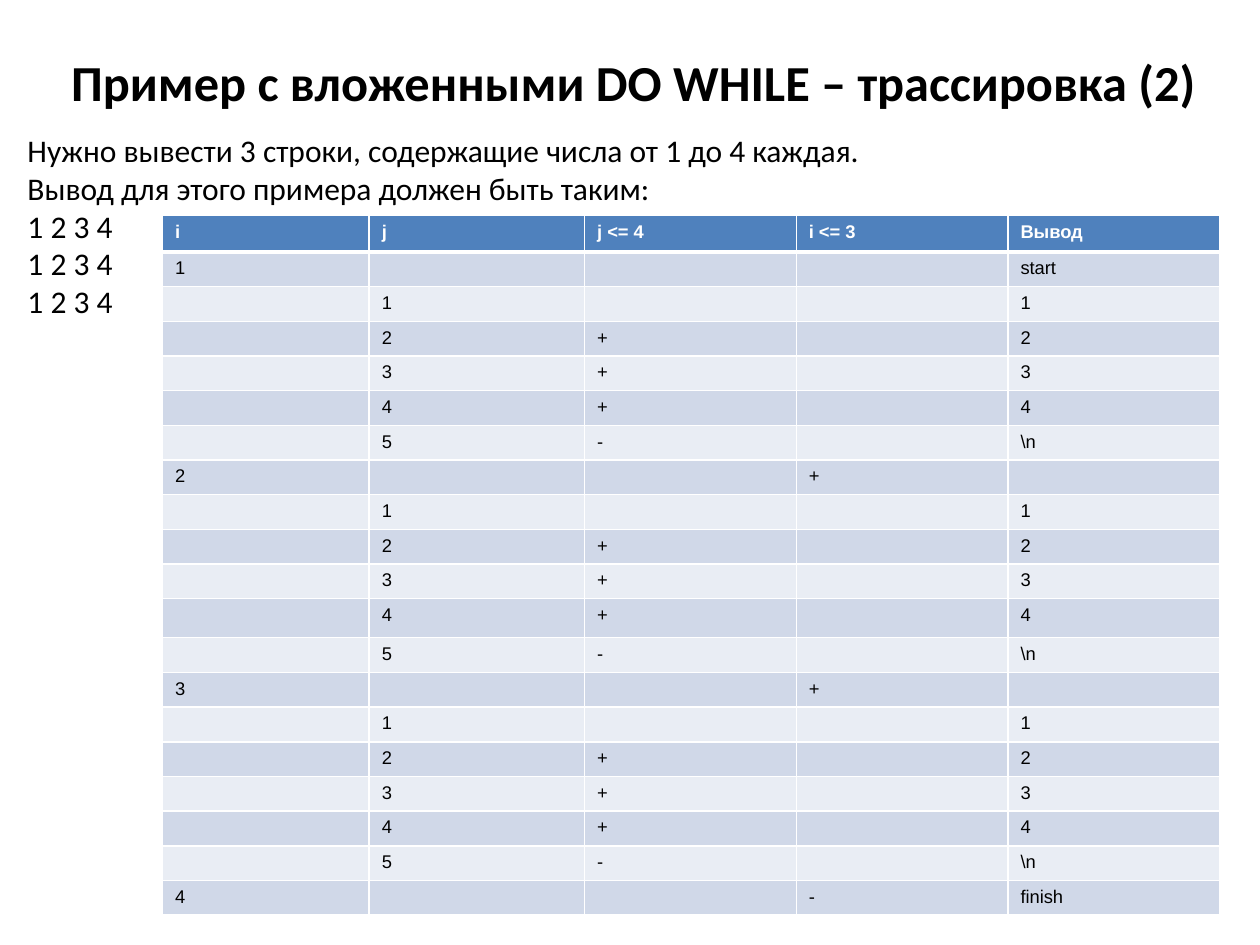
from lxml.etree import SubElement
from pptx import Presentation
from pptx.dml.color import RGBColor as RGB
from pptx.enum.text import MSO_ANCHOR as Anchor, PP_ALIGN as Align
from pptx.oxml.ns import qn
from pptx.util import Inches, Pt


def style(paragraph, size, face, color="000000", bold=False):
    font = paragraph.font
    font.size, font.name, font.bold = Pt(size), face, bold
    font.color.rgb = RGB.from_string(color)


def add_border(cell, side, points):
    """Draw a white line on one side (L, R, T or B); call before filling the cell."""
    line = SubElement(cell._tc.get_or_add_tcPr(), qn(f"a:ln{side}"), w=str(Pt(points)))
    SubElement(SubElement(line, qn("a:solidFill")), qn("a:srgbClr"), val="FFFFFF")


presentation = Presentation()
presentation.slide_width, presentation.slide_height = Inches(10), Inches(7.5)
slide = presentation.slides.add_slide(presentation.slide_layouts[6])

title = slide.shapes.add_textbox(Inches(0.29), Inches(0.3), Inches(9.48), Inches(0.69)).text_frame
title.word_wrap = True
title.vertical_anchor = Anchor.MIDDLE
title.text = "Пример с вложенными DO WHILE – трассировка (2)"
title.paragraphs[0].alignment = Align.CENTER
style(title.paragraphs[0], 28.8, "Calibri", bold=True)

task = slide.shapes.add_textbox(Inches(0.12), Inches(0.99), Inches(9.76), Inches(1.61)).text_frame
task.word_wrap = True
task.text = "\n".join([
    "Нужно вывести 3 строки, содержащие числа от 1 до 4 каждая.",
    "Вывод для этого примера должен быть таким:",
] + ["1 2 3 4"] * 3)
for paragraph in task.paragraphs:
    style(paragraph, 18, "Calibri")

# Each pass of the outer loop repeats the same inner trace
inner_loop = [
    ("", "1", "", "", "1"),
    ("", "2", "+", "", "2"),
    ("", "3", "+", "", "3"),
    ("", "4", "+", "", "4"),
    ("", "5", "-", "", "\\n"),
]
trace = [("i", "j", "j <= 4", "i <= 3", "Вывод")]
for i, check, output in [("1", "", "start"), ("2", "+", ""), ("3", "+", "")]:
    trace += [(i, "", "", check, output)] + inner_loop
trace.append(("4", "", "", "-", "finish"))

column_widths = [1.64, 1.71, 1.68, 1.68, 1.68]
table_height, header_height, tall_height, tall_row = 5.55, 0.29, 0.31, 11
row_height = (table_height - header_height - tall_height) / (len(trace) - 2)

table = slide.shapes.add_table(
    len(trace), len(column_widths), Inches(1.29), Inches(1.71),
    Inches(sum(column_widths)), Inches(table_height)).table
for column, width in zip(table.columns, column_widths):
    column.width = Inches(width)
for row in table.rows:
    row.height = Inches(row_height)
table.rows[0].height = Inches(header_height)
table.rows[tall_row].height = Inches(tall_height)

for r, step in enumerate(trace):
    header = r == 0
    fill = "4F81BD" if header else ("E9EDF4", "D0D8E8")[r % 2]
    for c, value in enumerate(step):
        cell = table.cell(r, c)
        for side in "LRTB":
            thick = (header and side == "B") or (r == 1 and side == "T")
            add_border(cell, side, 3 if thick else 1)
        cell.fill.solid()
        cell.fill.fore_color.rgb = RGB.from_string(fill)
        cell.text = value
        paragraph = cell.text_frame.paragraphs[0]
        style(paragraph, 10.5, "Arial", "FFFFFF" if header else "000000", header)
        if not value:  # keeps an empty cell from growing to the default text size
            SubElement(paragraph._p, qn("a:endParaRPr"), sz="1050")

presentation.save("out.pptx")
